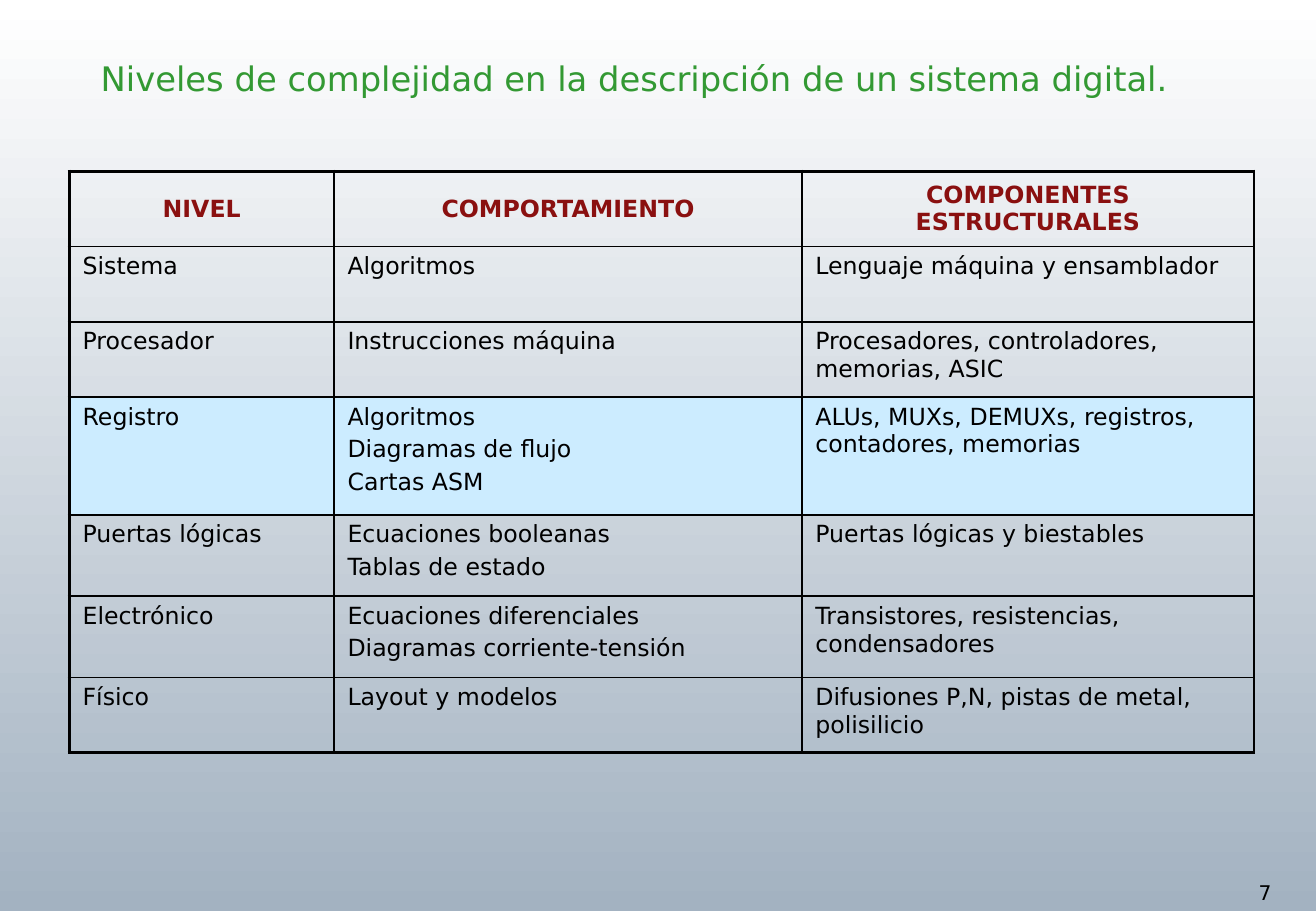
import pptx
import pptx.dml.color
import pptx.enum.text
import pptx.oxml
import pptx.oxml.ns
import pptx.util

Inches = pptx.util.Inches
Pt = pptx.util.Pt
ALIGN = pptx.enum.text.PP_ALIGN
ANCHOR = pptx.enum.text.MSO_ANCHOR

FONT = "DejaVu Sans"
BLACK, GREEN, RED, HIGHLIGHT = "000000", "339933", "8A1010", "CCECFF"
THIN, THICK = 1, 2.25

COLUMN_WIDTHS = [2.18, 3.85, 3.72]
ROW_HEIGHTS = [0.62, 0.62, 0.62, 0.97, 0.67, 0.67, 0.62]
HIGHLIGHTED_ROW = 3
LEVELS = [
    ["NIVEL", "COMPORTAMIENTO", "COMPONENTES ESTRUCTURALES"],
    ["Sistema", "Algoritmos", "Lenguaje máquina y ensamblador"],
    ["Procesador", "Instrucciones máquina",
     "Procesadores, controladores, memorias, ASIC"],
    ["Registro", "Algoritmos\nDiagramas de flujo\nCartas ASM",
     "ALUs, MUXs, DEMUXs, registros, contadores, memorias"],
    ["Puertas lógicas", "Ecuaciones booleanas\nTablas de estado",
     "Puertas lógicas y biestables"],
    ["Electrónico", "Ecuaciones diferenciales\nDiagramas corriente-tensión",
     "Transistores, resistencias, condensadores"],
    ["Físico", "Layout y modelos",
     "Difusiones P,N, pistas de metal, polisilicio"],
]


def color(value):
    return pptx.dml.color.RGBColor.from_string(value)


def set_attributes(target, values):
    for name, value in values.items():
        setattr(target, name, value)


def write_text(frame, text, size, shade, bold=False, align=ALIGN.LEFT):
    for index, line in enumerate(text.split("\n")):
        para = frame.add_paragraph() if index else frame.paragraphs[0]
        para.alignment = align
        if index:
            para.space_before = Pt(size * 0.2)
        span = para.add_run()
        span.text = line
        set_attributes(span.font, {"name": FONT, "size": Pt(size), "bold": bold})
        span.font.color.rgb = color(shade)


def paint_background(page):
    fill = page.background.fill
    fill.gradient()
    fill.gradient_angle = 270
    for stop, shade in zip(fill.gradient_stops, ["FFFFFF", "A3B2C1"]):
        stop.color.rgb = color(shade)


def add_label(page, box, text, size, shade, **frame_format):
    frame = page.shapes.add_textbox(*map(Inches, box)).text_frame
    set_attributes(frame, frame_format)
    write_text(frame, text, size, shade)


def set_borders(cell, widths):
    properties = cell._tc.get_or_add_tcPr()
    for side, width in widths.items():
        properties.append(pptx.oxml.parse_xml(
            f'<a:ln{side} {pptx.oxml.ns.nsdecls("a")} w="{Pt(width)}">'
            f'<a:solidFill><a:srgbClr val="{BLACK}"/></a:solidFill></a:ln{side}>'))


def format_cell(cell, row, column):
    set_attributes(cell, {
        "margin_left": Inches(0.11), "margin_right": Inches(0.11),
        "margin_top": Inches(0.05), "margin_bottom": Inches(0.05),
        "vertical_anchor": ANCHOR.TOP if row else ANCHOR.MIDDLE,
    })
    # Thick outline on the left, top and bottom edges of the table
    set_borders(cell, {
        "L": THIN if column else THICK,
        "R": THIN,
        "T": THIN if row else THICK,
        "B": THICK if row == len(LEVELS) - 1 else THIN,
    })
    if row == HIGHLIGHTED_ROW:
        cell.fill.solid()
        cell.fill.fore_color.rgb = color(HIGHLIGHT)
    else:
        cell.fill.background()


def add_level_table(page, box):
    table = page.shapes.add_table(
        len(LEVELS), len(COLUMN_WIDTHS), *map(Inches, box)).table
    set_attributes(table, {"first_row": False, "horz_banding": False})
    for column, width in zip(table.columns, COLUMN_WIDTHS):
        column.width = Inches(width)
    for row, height in zip(table.rows, ROW_HEIGHTS):
        row.height = Inches(height)

    header = {"shade": RED, "bold": True, "align": ALIGN.CENTER}
    body = {"shade": BLACK}
    for row, texts in enumerate(LEVELS):
        for column, text in enumerate(texts):
            cell = table.cell(row, column)
            format_cell(cell, row, column)
            write_text(cell.text_frame, text, 14, **(body if row else header))


deck = pptx.Presentation()
set_attributes(deck, {"slide_width": Inches(10.83), "slide_height": Inches(7.5)})
page = deck.slides.add_slide(deck.slide_layouts[6])

paint_background(page)
# Page number
add_label(page, (10.26, 7.2, 0.57, 0.3), "7", 12, BLACK, word_wrap=False)
# Title
add_label(page, (0.73, 0.47, 9.48, 0.39),
          "Niveles de complejidad en la descripción de un sistema digital.",
          20, GREEN, word_wrap=True, vertical_anchor=ANCHOR.BOTTOM)
# Levels of description
add_level_table(page, (0.57, 1.41, sum(COLUMN_WIDTHS), sum(ROW_HEIGHTS)))

deck.save("out.pptx")
